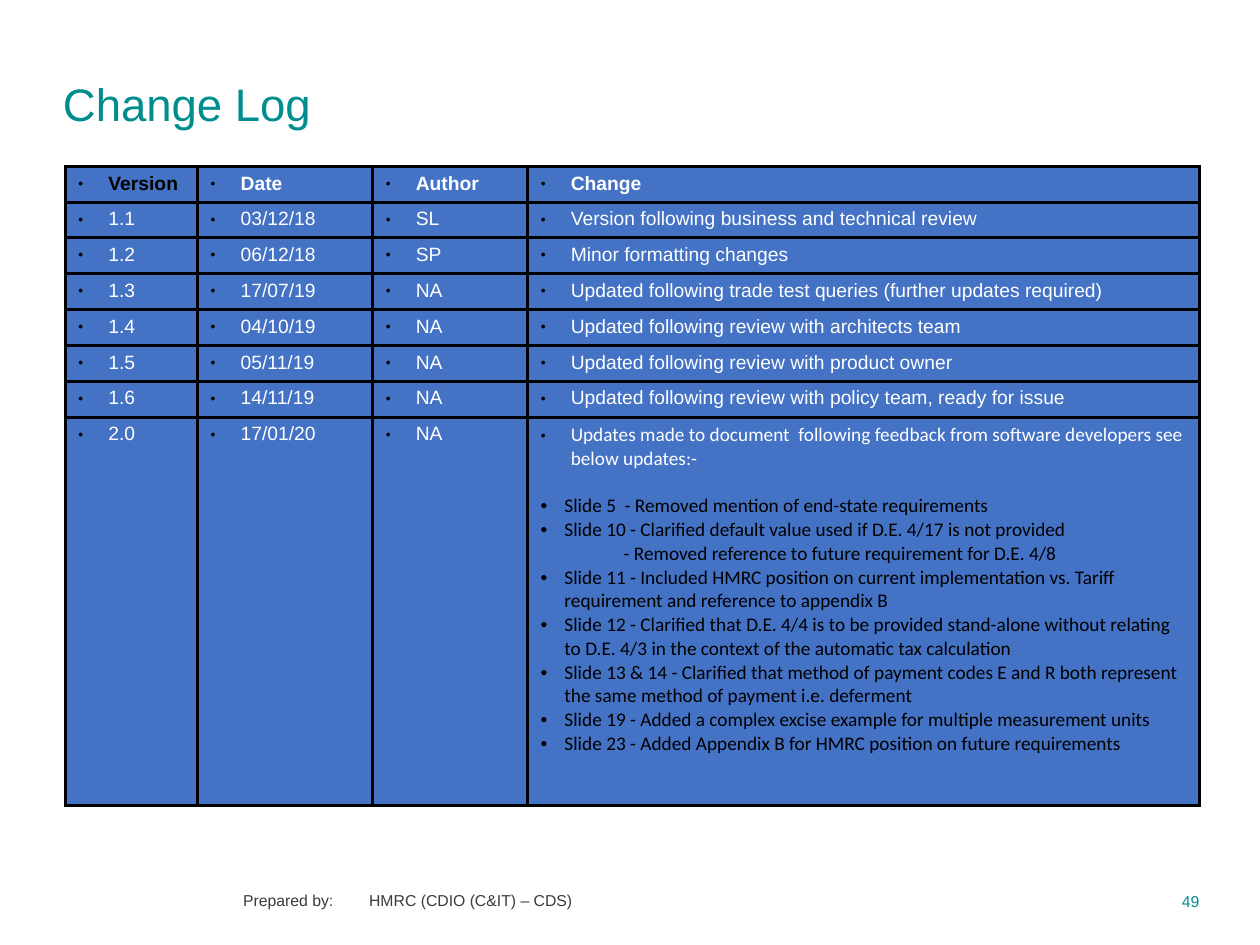
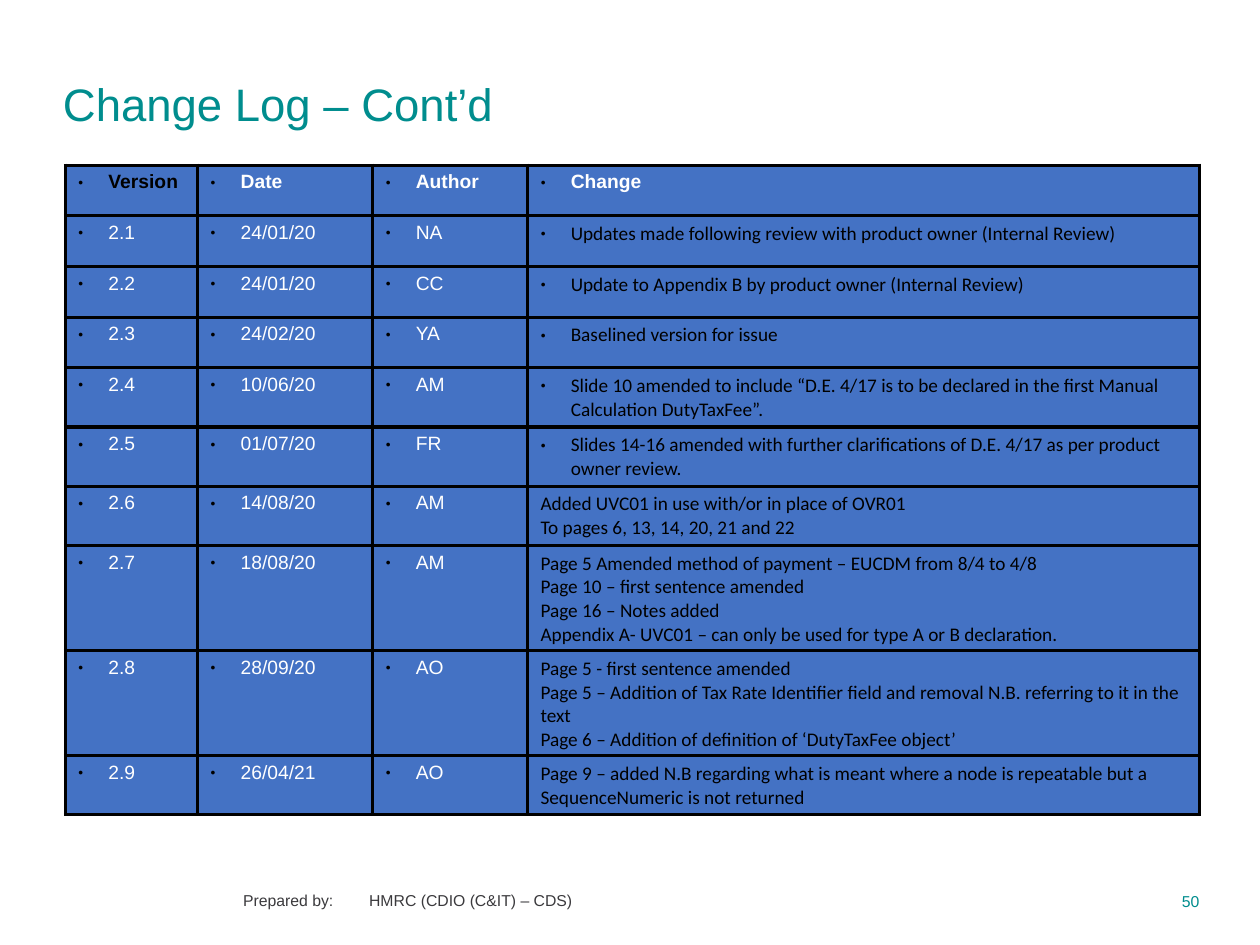
import dataclasses

import lxml.etree
import pptx
import pptx.dml.color
import pptx.enum.text
import pptx.oxml.ns
import pptx.util

Inches = pptx.util.Inches
Pt = pptx.util.Pt

COLOURS = {
    "teal": "008D8E",
    "footer": "3B3A3D",
    "cell": "4472C4",
    "black": "000000",
    "white": "FFFFFF",
}
FOOTER = "Prepared by: \tHMRC (CDIO (C&IT) – CDS)"
FIRST_PAGE = 49
TABLE_LEFT = 0.52
COLUMN_WIDTHS = [1.05, 1.39, 1.23, 5.33]
BORDER_WIDTH = 1.98
HEADINGS = ["Version", "Date", "Author", "Change"]


@dataclasses.dataclass(frozen=True)
class Style:
    """Paragraph look; indents in inches, bullet size in percent."""
    font: str = "Arial"
    colour: str = "white"
    bold: bool = False
    left: float = 0.24
    hanging: float = 0.24
    bullet: str = "●"
    bullet_size: int = 45
    space_before: float = 0


ENTRY = Style()
HEADING = Style(bold=True)
DARK_HEADING = Style(bold=True, colour="black")
LEAD = Style(font="Calibri")
DARK_ENTRY = Style(font="Calibri", colour="black")
PLAIN = Style(font="Calibri", colour="black", left=0, hanging=0, bullet="")
DETAIL = Style(font="Calibri", colour="black", left=0.19, hanging=0.19,
               bullet="•", bullet_size=100)
FIRST_DETAIL = dataclasses.replace(DETAIL, space_before=13.4)
SUB_DETAIL = dataclasses.replace(PLAIN, left=0.66)

# Each entry: version, date, author, style of the change text, its paragraphs.
# A paragraph given as (style, text) overrides the style of its entry.
FIRST_LOG = [
    ("1.1", "03/12/18", "SL", ENTRY,
     ["Version following business and technical review"]),
    ("1.2", "06/12/18", "SP", ENTRY, ["Minor formatting changes"]),
    ("1.3", "17/07/19", "NA", ENTRY,
     ["Updated following trade test queries (further updates required)"]),
    ("1.4", "04/10/19", "NA", ENTRY,
     ["Updated following review with architects team"]),
    ("1.5", "05/11/19", "NA", ENTRY,
     ["Updated following review with product owner"]),
    ("1.6", "14/11/19", "NA", ENTRY,
     ["Updated following review with policy team, ready for issue"]),
    ("2.0", "17/01/20", "NA", DETAIL, [
        (LEAD, "Updates made to document  following feedback from software "
               "developers see below updates:-"),
        (FIRST_DETAIL, "Slide 5  - Removed mention of end-state requirements"),
        "Slide 10 - Clarified default value used if D.E. 4/17 is not provided",
        (SUB_DETAIL, "- Removed reference to future requirement for D.E. 4/8"),
        "Slide 11 - Included HMRC position on current implementation vs. "
        "Tariff requirement and reference to appendix B",
        "Slide 12 - Clarified that D.E. 4/4 is to be provided stand-alone "
        "without relating to D.E. 4/3 in the context of the automatic tax "
        "calculation",
        "Slide 13 & 14 - Clarified that method of payment codes E and R both "
        "represent the same method of payment i.e. deferment",
        "Slide 19 - Added a complex excise example for multiple measurement "
        "units",
        "Slide 23 - Added Appendix B for HMRC position on future requirements",
    ]),
]
SECOND_LOG = [
    ("2.1", "24/01/20", "NA", DARK_ENTRY,
     ["Updates made following review with product owner (Internal Review)"]),
    ("2.2", "24/01/20", "CC", DARK_ENTRY,
     ["Update to Appendix B by product owner (Internal Review)"]),
    ("2.3", "24/02/20", "YA", DARK_ENTRY, ["Baselined version for issue"]),
    ("2.4", "10/06/20", "AM", DARK_ENTRY,
     ["Slide 10 amended to include “D.E. 4/17 is to be declared in the first "
      "Manual Calculation DutyTaxFee”."]),
    ("2.5", "01/07/20", "FR", DARK_ENTRY,
     ["Slides 14-16 amended with further clarifications of D.E. 4/17 as per "
      "product owner review."]),
    ("2.6", "14/08/20", "AM", PLAIN,
     ["Added UVC01 in use with/or in place of OVR01",
      "To pages 6, 13, 14, 20, 21 and 22"]),
    ("2.7", "18/08/20", "AM", PLAIN,
     ["Page 5 Amended method of payment – EUCDM from 8/4 to 4/8",
      "Page 10 – first sentence amended",
      "Page 16 – Notes added",
      "Appendix A- UVC01 – can only be used for type A or B declaration."]),
    ("2.8", "28/09/20", "AO", PLAIN,
     ["Page 5 - first sentence amended",
      "Page 5 – Addition of Tax Rate Identifier field and removal N.B. "
      "referring to it in the text",
      "Page 6 – Addition of definition of ‘DutyTaxFee object’"]),
    ("2.9", "26/04/21", "AO", PLAIN,
     ["Page 9 – added N.B regarding what is meant where a node is repeatable "
      "but a SequenceNumeric is not returned"]),
]


def rgb(name):
    return pptx.dml.color.RGBColor.from_string(COLOURS[name])


def add_element(parent, tag, **attributes):
    child = lxml.etree.SubElement(parent, pptx.oxml.ns.qn(tag))
    for key, value in attributes.items():
        child.set(key, str(value))
    return child


def format_spans(para, size, colour, font="Arial", bold=False):
    for span in para.runs:
        span.font.size = Pt(size)
        span.font.name = font
        span.font.bold = bold
        span.font.color.rgb = rgb(colour)


def write_label(box, text, size, colour, align="LEFT", anchor="TOP"):
    """Write one paragraph into a box without margins and return it."""
    frame = box.text_frame
    frame.word_wrap = True
    frame.margin_left = frame.margin_right = 0
    frame.margin_top = frame.margin_bottom = 0
    frame.vertical_anchor = pptx.enum.text.MSO_ANCHOR[anchor]
    frame.text = text
    para = frame.paragraphs[0]
    para.alignment = pptx.enum.text.PP_ALIGN[align]
    format_spans(para, size, colour)
    return para


def add_title(page, text):
    box = page.shapes.add_textbox(*map(Inches, (0.5, 0.29, 9, 1.11)))
    para = write_label(box, text, 26, "teal", anchor="MIDDLE")
    para.line_spacing = Pt(27)


def add_outline_box(page, left, top, width, height):
    """Add an unfilled, unlined rectangular freeform."""
    right, bottom = left + width, top + height
    builder = page.shapes.build_freeform(Inches(left), Inches(top))
    builder.add_line_segments([
        (Inches(x), Inches(y))
        for x, y in ((right, top), (right, bottom), (left, bottom))])
    box = builder.convert_to_shape()
    box.shadow.inherit = False
    box.fill.background()
    box.line.fill.background()
    return box


def add_footer(page, number):
    prepared_by = add_outline_box(page, 1.93, 7.07, 4.3, 0.15)
    write_label(prepared_by, FOOTER, 9, "footer")
    number_box = page.shapes.add_textbox(*map(Inches, (4.96, 7.08, 4.56, 0.15)))
    write_label(number_box, str(number), 9, "teal", align="RIGHT")


def style_paragraph(para, style):
    properties = para._p.get_or_add_pPr()
    properties.set("marL", str(Inches(style.left)))
    properties.set("indent", str(-Inches(style.hanging)))
    if style.bullet:
        colour = add_element(properties, "a:buClr")
        add_element(colour, "a:srgbClr", val=COLOURS["black"])
        add_element(properties, "a:buSzPct", val=style.bullet_size * 1000)
        add_element(properties, "a:buFont", typeface="Arial")
        add_element(properties, "a:buChar", char=style.bullet)
    else:
        add_element(properties, "a:buNone")
    if style.space_before:
        para.space_before = Pt(style.space_before)
    format_spans(para, 11, style.colour, style.font, style.bold)


def paint_cell(cell):
    properties = cell._tc.get_or_add_tcPr()
    for side in ("a:lnL", "a:lnR", "a:lnT", "a:lnB"):
        line = add_element(properties, side, w=Pt(BORDER_WIDTH))
        fill = add_element(line, "a:solidFill")
        add_element(fill, "a:srgbClr", val=COLOURS["black"])
    cell.fill.solid()
    cell.fill.fore_color.rgb = rgb("cell")


def fill_cell(cell, paragraphs):
    """Write (style, text) pairs into a cell, one paragraph each."""
    paint_cell(cell)
    frame = cell.text_frame
    frame.text = "\n".join(text for _, text in paragraphs)
    for para, (style, _) in zip(frame.paragraphs, paragraphs):
        style_paragraph(para, style)


def log_rows(log):
    """Return the heading row and the entries as lists of cell paragraphs."""
    rows = [[[(DARK_HEADING if name == "Version" else HEADING, name)]
             for name in HEADINGS]]
    for version, date, author, style, changes in log:
        cells = [[(ENTRY, text)] for text in (version, date, author)]
        cells.append([(style, change) if isinstance(change, str) else change
                      for change in changes])
        rows.append(cells)
    return rows


def add_log_table(page, log, top, height, tall_rows):
    """Draw the log; rows before tall_rows share the remaining height."""
    rows = log_rows(log)
    short_count = len(rows) - len(tall_rows)
    short_height = (height - sum(tall_rows)) / short_count
    heights = [short_height] * short_count + tall_rows
    table = page.shapes.add_table(
        len(rows), len(HEADINGS), Inches(TABLE_LEFT), Inches(top),
        Inches(sum(COLUMN_WIDTHS)), Inches(height)).table
    table.first_row = table.horz_banding = False
    for column, width in zip(table.columns, COLUMN_WIDTHS):
        column.width = Inches(width)
    for row, row_height, contents in zip(table.rows, heights, rows):
        row.height = Inches(row_height)
        for cell, paragraphs in zip(row.cells, contents):
            fill_cell(cell, paragraphs)


def main():
    deck = pptx.Presentation()
    deck.slide_width, deck.slide_height = Inches(10), Inches(7.5)
    pages = [
        ("Change Log", FIRST_LOG, 1.32, 5.07, [3.08]),
        ("Change Log – Cont’d", SECOND_LOG, 1.31, 5.15,
         [0.47, 0.47, 0.47, 0.83, 0.83, 0.47]),
    ]
    for number, (title, log, top, height, tall_rows) in enumerate(
            pages, FIRST_PAGE):
        page = deck.slides.add_slide(deck.slide_layouts[6])
        add_title(page, title)
        add_log_table(page, log, top, height, tall_rows)
        add_footer(page, number)
    deck.save("out.pptx")


if __name__ == "__main__":
    main()
